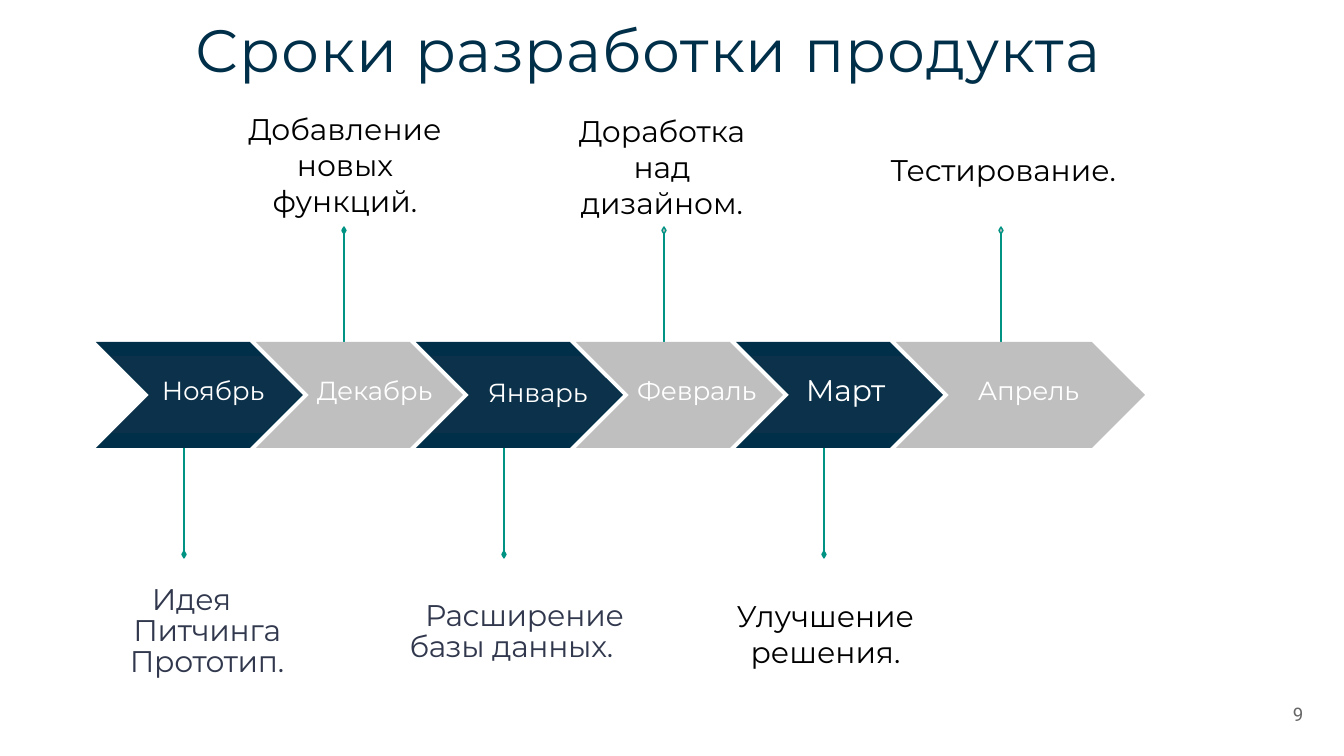
from lxml.etree import SubElement
from pptx import Presentation
from pptx.dml.color import RGBColor
from pptx.enum.shapes import MSO_CONNECTOR as Connector, MSO_SHAPE as Shape
from pptx.enum.text import MSO_ANCHOR as Anchor, MSO_AUTO_SIZE as AutoSize, PP_ALIGN as Align
from pptx.oxml.ns import qn
from pptx.util import Pt

NAVY, GREY, TEAL, SLATE = "002F49", "BFBFBF", "009383", "31384D"
WHITE, BLACK = "FFFFFF", "000000"
hex_color = RGBColor.from_string


def px(*values):
    """Turn slide pixels (134.4 to the inch) into EMU."""
    return [round(value * 914400 / 134.4) for value in values]


def write(box, text, size=16, color=BLACK, font="Montserrat", align=Align.CENTER,
          margins=(13, 7, 13, 7), before=0, spacing=0, line=None, left=0, first=0):
    frame = box.text_frame
    frame.word_wrap = True
    frame.auto_size = AutoSize.NONE
    frame.vertical_anchor = Anchor.TOP
    (frame.margin_left, frame.margin_top,
     frame.margin_right, frame.margin_bottom) = px(*margins)
    para = frame.paragraphs[0]
    para.alignment = align
    para.space_before = Pt(before)
    if line:
        para.line_spacing = Pt(line)
    if left or first:
        indent, first_indent = px(left, first)
        properties = para._p.get_or_add_pPr()
        properties.set("marL", str(indent))
        properties.set("indent", str(first_indent))
    span = para.add_run()
    span.text = text
    span.font.name = font
    span.font.size = Pt(size)
    span.font.color.rgb = hex_color(color)
    span._r.get_or_add_rPr().set("spc", str(round(spacing * 100)))


deck = Presentation()
deck.slide_width, deck.slide_height = px(1344, 756)
page = deck.slides.add_slide(deck.slide_layouts[5])
shapes = page.shapes

title = shapes.title
title.left, title.top, title.width, title.height = px(195, 12, 931, 74)
write(title, "Сроки разработки продукта", size=32, color=NAVY, align=Align.LEFT,
      margins=(1, 1, 0, 0), before=1, spacing=0.55)

# month, label box (left, top, width), text size, diamond fill
months = [
    ("Ноябрь", (161, 373, 109), 14, TEAL),
    ("Декабрь", (316, 373, 129), 14, TEAL),
    ("Январь", (487, 375, 108), 14, TEAL),
    ("Февраль", (636, 373, 137), 14, GREY),
    ("Март", (805, 371, 94), 16, TEAL),
    ("Апрель", (977, 373, 125), 14, GREY),
]
STEP = 160
for index, (month, (left, top, width), size, diamond_fill) in enumerate(months):
    is_dark = index % 2 == 0
    is_last = index == len(months) - 1
    chevron_left = 96 + STEP * index
    stem_x = 1001 if is_last else 184 + STEP * index
    start, end, diamond_top = (437, 551, 551) if is_dark else (347, 234, 227)

    stem = shapes.add_connector(Connector.STRAIGHT, *px(stem_x, start, stem_x, end))
    stem.line.color.rgb = hex_color(TEAL)
    stem.line.width = Pt(0.75)
    SubElement(stem._element.spPr, qn("a:effectLst"))

    diamond = shapes.add_shape(Shape.DIAMOND, *px(stem_x - 2, diamond_top, 4, 7))
    diamond.shadow.inherit = False
    diamond.fill.solid()
    diamond.fill.fore_color.rgb = hex_color(diamond_fill)
    diamond.line.color.rgb = hex_color(TEAL)
    diamond.line.width = Pt(0.75)

    layers = [((chevron_left, 342, 249 if is_last else 207, 106),
               NAVY if is_dark else GREY, 100)]
    if is_dark:
        layers.append(((chevron_left + 15, 356, 191, 77), SLATE, 25))
    for place, color, opacity in layers:
        chevron = shapes.add_shape(Shape.CHEVRON, *px(*place))
        chevron.shadow.inherit = False
        chevron.adjustments[0] = 0.5
        chevron.line.fill.background()
        chevron.fill.solid()
        chevron.fill.fore_color.rgb = hex_color(color)
        if opacity < 100:
            fill_color = chevron._element.spPr.find(".//" + qn("a:srgbClr"))
            SubElement(fill_color, qn("a:alpha")).set("val", str(opacity * 1000))

    label = shapes.add_textbox(*px(left, top, width, 34))
    write(label, month, size=size, color=WHITE, align=Align.LEFT,
          margins=(1, 1, 0, 0), before=1, spacing=-0.1)

tight = dict(color=SLATE, before=2.8, spacing=-0.1, line=16.5)
notes = [
    ("Идея Питчинга Прототип.", (54, 579, 259, 110), dict(tight, left=47, first=-31)),
    ("Расширение базы данных.", (368, 595, 276, 78), dict(tight, left=11, first=26)),
    ("Улучшение решения.", (720, 591, 211, 86), {}),
    ("Тестирование.", (870, 145, 267, 50), {}),
    ("Доработка над дизайном.", (560, 106, 204, 122), {}),
    ("Добавление новых функций.", (210, 104, 270, 122), {}),
]
for text, place, style in notes:
    write(shapes.add_textbox(*px(*place)), text, **style)

number = shapes.add_textbox(*px(1286, 700, 34, 27))
write(number, "9", size=10, color="666666", font="Roboto", align=Align.LEFT,
      margins=(7, 3, 0, 0), before=1.2, spacing=-0.1)

deck.save("out.pptx")
